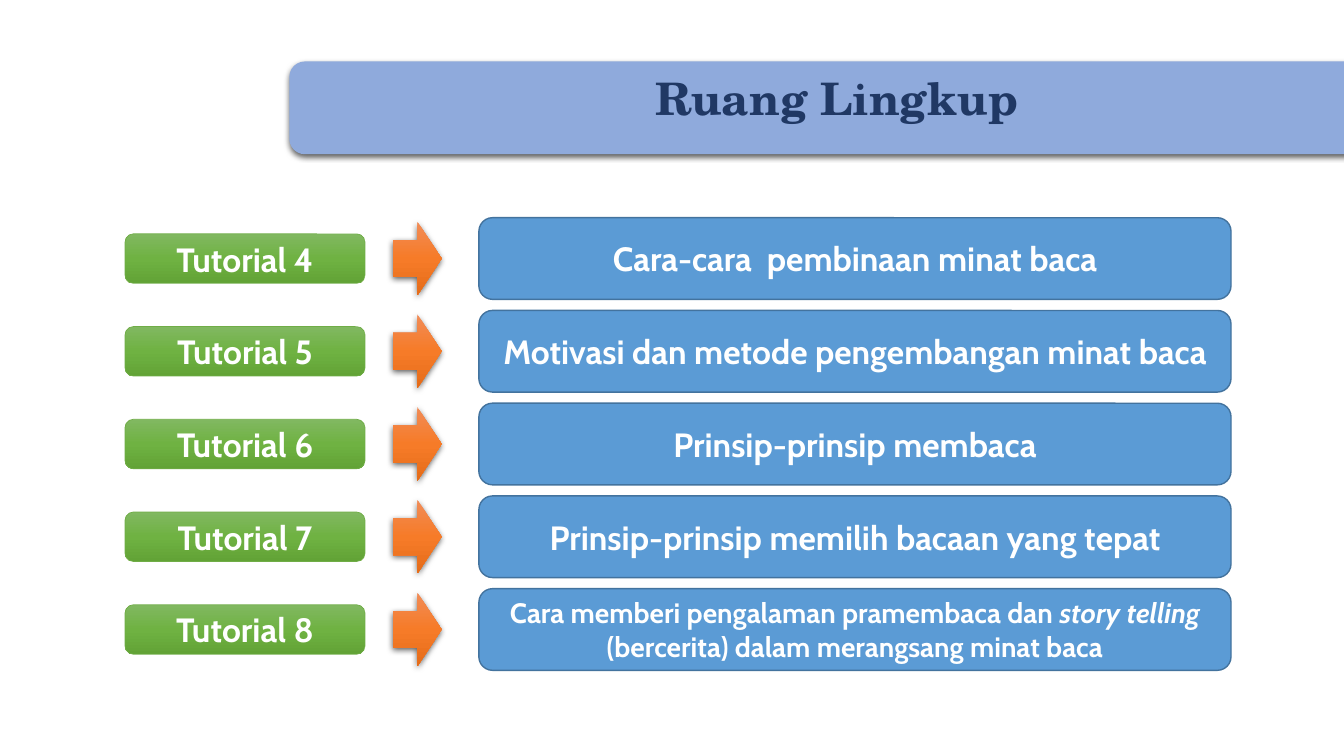
from lxml import etree
from pptx import Presentation
from pptx.dml.color import RGBColor
from pptx.enum.shapes import MSO_SHAPE
from pptx.enum.text import MSO_ANCHOR, PP_ALIGN
from pptx.oxml import parse_xml
from pptx.oxml.ns import nsdecls, qn
from pptx.util import Emu, Pt

ROUNDED = MSO_SHAPE.ROUNDED_RECTANGLE
ARROW = MSO_SHAPE.RIGHT_ARROW
CENTER = PP_ALIGN.CENTER
TOP = MSO_ANCHOR.TOP
MIDDLE = MSO_ANCHOR.MIDDLE

PX = 9144
COLORS = {
    "banner": "8FAADC", "title": "203864", "white": "FFFFFF",
    "topic": "5B9BD5", "topic_line": "43739E", "label_line": "70AD47",
    "green_top": "81B861", "green_mid": "6FB242", "green_end": "62A336",
    "orange_top": "F18C57", "orange_mid": "F67B28", "orange_end": "E56C19",
    "shadow": "000000",
}
GREEN = ("green_top", "green_mid", "green_end")
ORANGE = ("orange_top", "orange_mid", "orange_end")
HEADING_FONT = "TeX Gyre Schola"
BODY_FONT = "Cabin"

FIRST_ROW_TOP = 216
ROW_PITCH = 92
ROWS = [
    ("Tutorial 4", 24, [("Cara-cara  pembinaan minat baca", False)]),
    ("Tutorial 5", 24, [("Motivasi dan metode pengembangan minat baca", False)]),
    ("Tutorial 6", 24, [("Prinsip-prinsip membaca", False)]),
    ("Tutorial 7", 24, [("Prinsip-prinsip memilih bacaan yang tepat", False)]),
    ("Tutorial 8", 20, [
        ("Cara memberi pengalaman pramembaca dan ", False),
        ("story telling ", True),
        ("(bercerita) dalam merangsang minat baca", False),
    ]),
]


def rgb(name):
    return RGBColor.from_string(COLORS[name])


def add_gradient(shape, names):
    stops = "".join(
        f'<a:gs pos="{index * 50000}"><a:srgbClr val="{COLORS[name]}"/></a:gs>'
        for index, name in enumerate(names)
    )
    shape.fill.gradient()
    properties = shape.element.spPr
    gradient = parse_xml(
        f'<a:gradFill {nsdecls("a")} rotWithShape="1"><a:gsLst>{stops}</a:gsLst>'
        '<a:lin ang="5400000" scaled="0"/></a:gradFill>'
    )
    properties.replace(properties.find(qn("a:gradFill")), gradient)


def add_shadow(shape):
    effects = shape.element.spPr.find(qn("a:effectLst"))
    outer = etree.SubElement(
        effects, qn("a:outerShdw"), blurRad=str(Pt(4.5)), dist=str(Pt(1.5)),
        dir="5400000", algn="ctr", rotWithShape="0",
    )
    color = etree.SubElement(outer, qn("a:srgbClr"), val=COLORS["shadow"])
    etree.SubElement(color, qn("a:alpha"), val="63000")


def add_block(page, kind, box, fill, line=None, line_width=1):
    shape = page.shapes.add_shape(kind, *(Emu(length * PX) for length in box))
    shape.shadow.inherit = False
    if isinstance(fill, tuple):
        add_gradient(shape, fill)
    else:
        shape.fill.solid()
        shape.fill.fore_color.rgb = rgb(fill)
    if line:
        shape.line.color.rgb = rgb(line)
        shape.line.width = Pt(line_width)
    else:
        shape.line.fill.background()
    return shape


def write(shape, spans, size, font=BODY_FONT, color="white", anchor=MIDDLE):
    frame = shape.text_frame
    frame.word_wrap = True
    frame.vertical_anchor = anchor
    para = frame.paragraphs[0]
    para.alignment = CENTER
    for text, italic in spans:
        span = para.add_run()
        span.text = text
        span.font.name = font
        span.font.size = Pt(size)
        span.font.bold = True
        span.font.italic = italic
        span.font.color.rgb = rgb(color)


def add_banner(page, box):
    banner = add_block(page, ROUNDED, box, "banner")
    add_shadow(banner)
    write(banner, [("Ruang Lingkup", False)], 32, HEADING_FONT, "title", TOP)


def add_row(page, box, label, size, topic):
    left, top, width, height = box
    label_box = (left, top + 16, 238, 49)
    arrow_box = (left + 266, top + 4, 48, 73)
    topic_box = (left + 351, top, width - 351, height)
    write(add_block(page, ROUNDED, label_box, GREEN, "label_line", 0.5),
          [(label, False)], 24)
    add_shadow(add_block(page, ARROW, arrow_box, ORANGE))
    write(add_block(page, ROUNDED, topic_box, "topic", "topic_line"), topic, size)


def main():
    deck = Presentation()
    deck.slide_width = Emu(1333 * PX)
    deck.slide_height = Emu(750 * PX)
    page = deck.slides.add_slide(deck.slide_layouts[6])
    add_banner(page, (287, 61, 1086, 92))
    for index, row in enumerate(ROWS):
        add_row(page, (124, FIRST_ROW_TOP + index * ROW_PITCH, 1097, 81), *row)
    deck.save("out.pptx")


if __name__ == "__main__":
    main()
